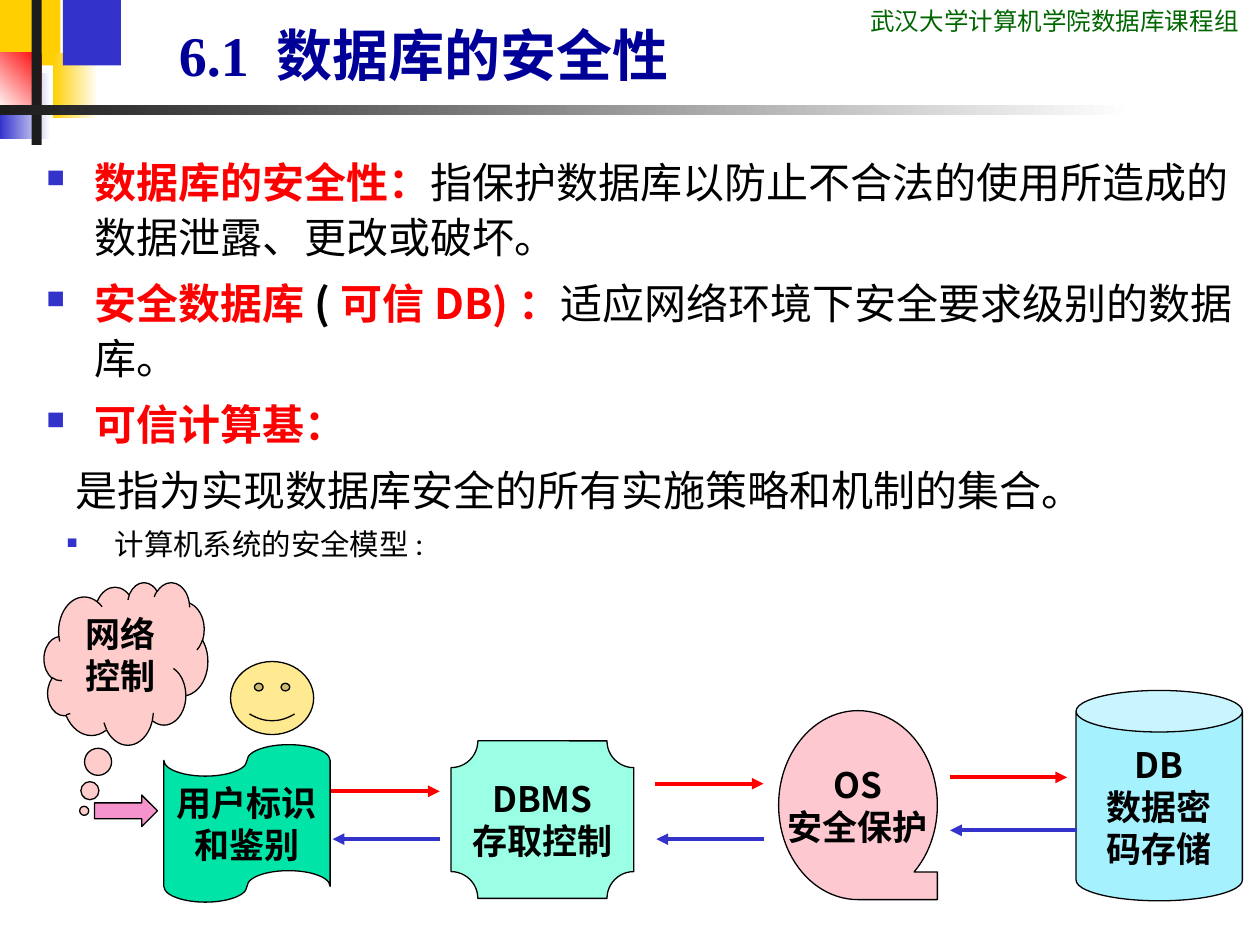
from lxml import etree
from pptx import Presentation
from pptx.dml.color import RGBColor
from pptx.enum.shapes import MSO_CONNECTOR, MSO_SHAPE
from pptx.enum.text import MSO_ANCHOR, MSO_AUTO_SIZE, PP_ALIGN
from pptx.oxml.ns import qn
from pptx.util import Inches, Pt

RECT, STRAIGHT = MSO_SHAPE.RECTANGLE, MSO_CONNECTOR.STRAIGHT
TOP, MIDDLE, BOTTOM = MSO_ANCHOR.TOP, MSO_ANCHOR.MIDDLE, MSO_ANCHOR.BOTTOM
LEFT, CENTER = PP_ALIGN.LEFT, PP_ALIGN.CENTER
NO_AUTOFIT = MSO_AUTO_SIZE.NONE

BLACK = RGBColor(0x00, 0x00, 0x00)
WHITE = RGBColor(0xFF, 0xFF, 0xFF)
RED = RGBColor(0xFF, 0x00, 0x00)
BLUE = RGBColor(0x33, 0x33, 0xCC)
NAVY = RGBColor(0x00, 0x00, 0x99)
GREEN = RGBColor(0x00, 0x66, 0x00)
GOLD = RGBColor(0xFF, 0xCF, 0x01)
CHARCOAL = RGBColor(0x1C, 0x1C, 0x1C)
FACE_YELLOW = RGBColor(0xFF, 0xEA, 0x91)
TAPE_GREEN = RGBColor(0x00, 0xE4, 0xA8)
CAN_BLUE = RGBColor(0xA6, 0xF1, 0xFE)
OS_PINK = RGBColor(0xFE, 0xC8, 0xD1)
MINT = RGBColor(0x9B, 0xFF, 0xE5)
CLOUD_PINK = RGBColor(0xFF, 0xCC, 0xCC)
ARROW_PINK = RGBColor(0xF5, 0x93, 0xCD)
SANS, LATO = "Noto Sans CJK SC", "Lato"


def add_run(paragraph, text, size, font, color, bold=False):
    run = paragraph.add_run()
    run.text = text
    run.font.size = Pt(size)
    run.font.name = font
    run.font.bold = bold
    run.font.color.rgb = color
    east_asian = etree.SubElement(run.font._element, qn("a:ea"))
    east_asian.set("typeface", LATO)


def add_bullet(paragraph):
    props = paragraph._p.get_or_add_pPr()
    props.set("marL", str(Inches(0.38)))
    props.set("indent", str(-Inches(0.38)))
    color = etree.SubElement(props, qn("a:buClr"))
    etree.SubElement(color, qn("a:srgbClr")).set("val", str(BLUE))
    etree.SubElement(props, qn("a:buSzPct")).set("val", "60000")
    etree.SubElement(props, qn("a:buChar")).set("char", "■")


prs = Presentation()
prs.slide_width, prs.slide_height = Inches(10), Inches(7.5)
slide = prs.slides.add_slide(prs.slide_layouts[1])
shapes = slide.shapes

# Corner blocks and rule: place, start colour, end colour, clockwise angle
decorations = [
    ((0, 0, 0.48, 0.52), GOLD, None, 0),
    ((0.42, 0.42, 0.36, 0.52), WHITE, GOLD, 180),
    ((0.5, 0, 0.46, 0.52), BLUE, None, 0),
    ((0, 0.58, 0.4, 0.52), WHITE, BLUE, 180),
    ((0, 0.42, 0.33, 0.46), RED, WHITE, 135),
    ((0.25, 0, 0.08, 1.15), CHARCOAL, None, 0),
    ((0, 0.83, 9, 0.08), WHITE, CHARCOAL, 180),
]
for place, start, end, angle in decorations:
    block = shapes.add_shape(RECT, *map(Inches, place))
    block.shadow.inherit = False
    block.line.fill.background()
    if end is None:
        block.fill.solid()
        block.fill.fore_color.rgb = start
    else:
        block.fill.gradient()
        block.fill.gradient_angle = 360 - angle
        for stop, color in zip(block.fill.gradient_stops, (start, end)):
            stop.color.rgb = color

# Course group
course = shapes.add_textbox(Inches(6.81), 0, Inches(3.19), Inches(0.34))
course.text_frame.word_wrap = True
add_run(course.text_frame.paragraphs[0], "武汉大学计算机学院数据库课程组", 14,
        "Roboto Condensed", GREEN)

# Title
title = shapes.title
title.left, title.top, title.width, title.height = map(Inches, (1.32, 0, 5.2, 0.75))
title.text_frame.auto_size = NO_AUTOFIT
title.text_frame.vertical_anchor = BOTTOM
heading = title.text_frame.paragraphs[0]
heading.alignment = LEFT
add_run(heading, "6.1 ", 32, "Times New Roman", NAVY, True)
add_run(heading, "数据库的安全性", 32, LATO, NAVY, True)

# Lead-in to the security model
model = slide.placeholders[1]
model.left, model.top, model.width, model.height = map(Inches, (0.43, 4.2, 8.82, 0.61))
model.text_frame.auto_size = NO_AUTOFIT
lead_in = model.text_frame.paragraphs[0]
add_bullet(lead_in)
lead_in.line_spacing = 0.7
lead_in.space_before = Pt(0)
add_run(lead_in, "计算机系统的安全模型:", 16.8, LATO, BLACK)

# Security model: kind, place, adjustments, fill, label lines
stages = [
    (MSO_SHAPE.SMILEY_FACE, (1.83, 5.25, 0.66, 0.58), [0.0465], FACE_YELLOW, []),
    (MSO_SHAPE.FLOWCHART_PUNCHED_TAPE, (1.3, 5.91, 1.32, 1.25), [], TAPE_GREEN,
     ["用户标识", "和鉴别"]),
    (MSO_SHAPE.CAN, (8.54, 5.48, 1.32, 1.67), [0.25], CAN_BLUE,
     ["DB", "数据密", "码存储"]),
    (MSO_SHAPE.FLOWCHART_SEQUENTIAL_ACCESS_STORAGE, (6.18, 5.64, 1.26, 1.5), [],
     OS_PINK, ["OS", "安全保护"]),
    (MSO_SHAPE.PLAQUE, (3.58, 5.88, 1.45, 1.25), [0.17], MINT, ["DBMS", "存取控制"]),
    (MSO_SHAPE.CLOUD_CALLOUT, (0.35, 4.62, 1.3, 1.29), [-0.255, 0.907], CLOUD_PINK,
     ["网络控制"]),
    (MSO_SHAPE.RIGHT_ARROW, (0.75, 6.31, 0.5, 0.25), [0.5, 0.5], ARROW_PINK, []),
]
for kind, place, adjustments, fill, label in stages:
    stage = shapes.add_shape(kind, *map(Inches, place))
    stage.shadow.inherit = False
    for index, value in enumerate(adjustments):
        stage.adjustments[index] = value
    stage.fill.solid()
    stage.fill.fore_color.rgb = fill
    stage.line.color.rgb = BLACK
    stage.line.width = Pt(0.75)
    in_cloud = kind == MSO_SHAPE.CLOUD_CALLOUT
    frame = stage.text_frame
    frame.word_wrap = in_cloud
    frame.vertical_anchor = TOP if in_cloud else MIDDLE
    for index, text in enumerate(label):
        line = frame.add_paragraph() if index else frame.paragraphs[0]
        line.alignment = CENTER
        add_run(line, text, 20, SANS, BLACK, True)

# Requests (red) and replies (blue): start x, end x, y
flows = [
    (2.63, 3.49, 6.28, RED), (5.2, 6.06, 6.22, RED), (7.54, 8.47, 6.17, RED),
    (6.06, 5.21, 6.66, BLUE), (3.49, 2.64, 6.66, BLUE), (8.55, 7.54, 6.59, BLUE),
]
for start_x, end_x, y, color in flows:
    flow = shapes.add_connector(STRAIGHT, Inches(start_x), Inches(y), Inches(end_x), Inches(y))
    flow.line.color.rgb = color
    flow.line.width = Pt(2.25)
    etree.SubElement(flow.line._get_or_add_ln(), qn("a:tailEnd")).set("type", "triangle")
    etree.SubElement(flow._element.spPr, qn("a:effectLst"))

# Definitions: runs of text, colour, bold
definitions = [
    [("数据库的安全性：", RED, True),
     ("指保护数据库以防止不合法的使用所造成的数据泄露、更改或破坏。", BLACK, False)],
    [("安全数据库", RED, True), ("(", BLACK, True), ("可信DB)：", RED, True),
     ("适应网络环境下安全要求级别的数据库。", BLACK, False)],
    [("可信计算基：", RED, True)],
    [("是指为实现数据库安全的所有实施策略和机制的集合。", BLACK, False)],
]
definition_box = shapes.add_textbox(*map(Inches, (0.27, 1.15, 9.73, 3.56)))
definition_box.text_frame.word_wrap = True
for index, runs in enumerate(definitions):
    if index:
        definition = definition_box.text_frame.add_paragraph()
    else:
        definition = definition_box.text_frame.paragraphs[0]
    if index < 3:
        add_bullet(definition)
    else:
        definition._p.get_or_add_pPr().set("marL", str(Inches(0.23)))
    definition.line_spacing = 1.1
    definition.space_before = Pt(6 if index else 0)
    for text, color, bold in runs:
        add_run(definition, text, 24, SANS, color, bold)

prs.save("out.pptx")
